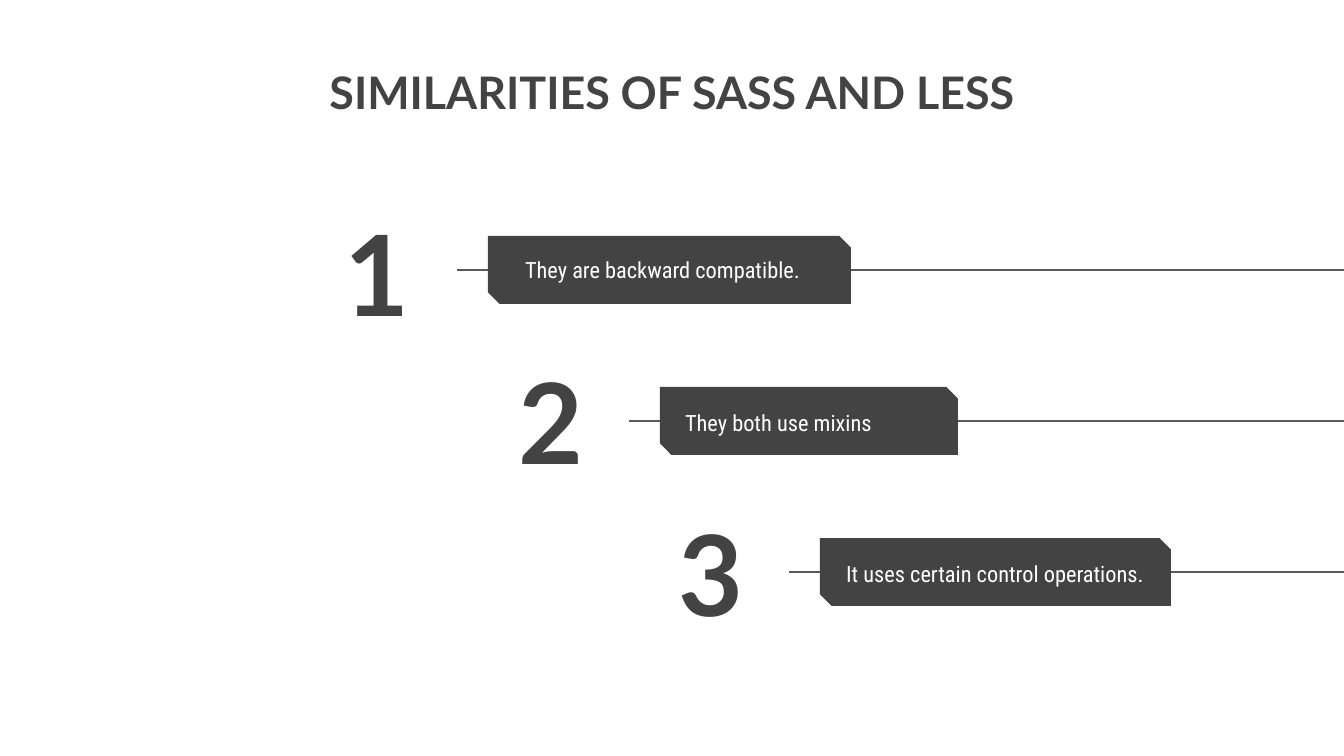
from pptx import Presentation
from pptx.dml.color import RGBColor
from pptx.enum.shapes import MSO_CONNECTOR, MSO_SHAPE
from pptx.enum.text import MSO_ANCHOR, MSO_AUTO_SIZE, PP_ALIGN
from pptx.oxml.ns import qn
from pptx.util import Pt
from lxml import etree

STRAIGHT = MSO_CONNECTOR.STRAIGHT
SNIPPED = MSO_SHAPE.SNIP_2_DIAG_RECTANGLE
TOP, MIDDLE = MSO_ANCHOR.TOP, MSO_ANCHOR.MIDDLE
LEFT, CENTER, RIGHT = PP_ALIGN.LEFT, PP_ALIGN.CENTER, PP_ALIGN.RIGHT
NO_AUTOFIT = MSO_AUTO_SIZE.NONE

SCALE = 914400 / 134.4
WIDTH, HEIGHT = 1344, 756
INSET = 13
COLOURS = {"dark": "434343", "line": "595959", "white": "FFFFFF"}
HEADING_FONT, BODY_FONT = "Lato", "Roboto Condensed"


def px(length):
    return round(length * SCALE)


def colour(name):
    return RGBColor.from_string(COLOURS[name])


class SlideBuilder:
    def __init__(self, slide):
        self.slide = slide
        self.shapes = slide.shapes

    def set_text(self, box, text, size, font, ink, align, anchor, bold=False):
        frame = box.text_frame
        frame.text = text
        frame.word_wrap = True
        frame.auto_size = NO_AUTOFIT
        frame.vertical_anchor = anchor
        frame.margin_left = frame.margin_right = px(INSET)
        frame.margin_top = frame.margin_bottom = px(INSET)
        para = frame.paragraphs[0]
        para.alignment = align
        span = para.runs[0]
        span.font.size = Pt(size)
        span.font.name = font
        span.font.bold = bold
        span.font.color.rgb = colour(ink)

    def title(self, text, left, top, width, height):
        box = self.shapes.title
        box.left, box.top = px(left), px(top)
        box.width, box.height = px(width), px(height)
        self.set_text(box, text, 24, HEADING_FONT, "dark", CENTER, TOP, bold=True)

    def text_box(self, left, top, width, height, *style, bold=False):
        box = self.shapes.add_textbox(px(left), px(top), px(width), px(height))
        self.set_text(box, *style, bold=bold)

    def rule(self, start, end, y):
        line = self.shapes.add_connector(STRAIGHT, px(start), px(y), px(end), px(y))
        line.line.color.rgb = colour("line")
        line.line.width = Pt(0.75)
        etree.SubElement(line._element.spPr, qn("a:effectLst"))

    def banner(self, left, top, width, height):
        shape = self.shapes.add_shape(SNIPPED, px(left), px(top), px(width), px(height))
        shape.adjustments[0] = 0
        shape.adjustments[1] = 0.17
        shape.shadow.inherit = False
        shape.fill.solid()
        shape.fill.fore_color.rgb = colour("dark")
        shape.line.fill.background()


# Deck and page
deck = Presentation()
deck.slide_width, deck.slide_height = px(WIDTH), px(HEIGHT)
page = SlideBuilder(deck.slides.add_slide(deck.slide_layouts[5]))
page.title("SIMILARITIES OF SASS AND LESS", 289, 52, 766, 138)

# Banner left and width, number right and top, caption left and anchor, caption
ITEMS = [
    (488, 363, 423, 216, 512, MIDDLE, "They are backward compatible."),
    (660, 298, 597, 364, 672, TOP, "They both use mixins"),
    (820, 351, 757, 516, 833, TOP, "It uses certain control operations."),
]
FIRST_TOP, STEP, BANNER_HEIGHT = 236, 151, 68
LEAD_IN = 31
NUMBER_WIDTH, NUMBER_HEIGHT = 263, 112
CAPTION_WIDTH, CAPTION_HEIGHT, CAPTION_DROP = 480, 50, 9

# Numbered steps, each with its rule behind the banner
for index, item in enumerate(ITEMS):
    left, width, number_right, number_top, caption_left, anchor, caption = item
    top = FIRST_TOP + index * STEP
    page.rule(WIDTH, left - LEAD_IN, top + BANNER_HEIGHT // 2)
    page.banner(left, top, width, BANNER_HEIGHT)
    page.text_box(number_right - NUMBER_WIDTH, number_top, NUMBER_WIDTH, NUMBER_HEIGHT,
                  str(index + 1), 60, HEADING_FONT, "dark", RIGHT, MIDDLE, bold=True)
    page.text_box(caption_left, top + CAPTION_DROP, CAPTION_WIDTH, CAPTION_HEIGHT,
                  caption, 12, BODY_FONT, "white", LEFT, anchor)

deck.save("out.pptx")
